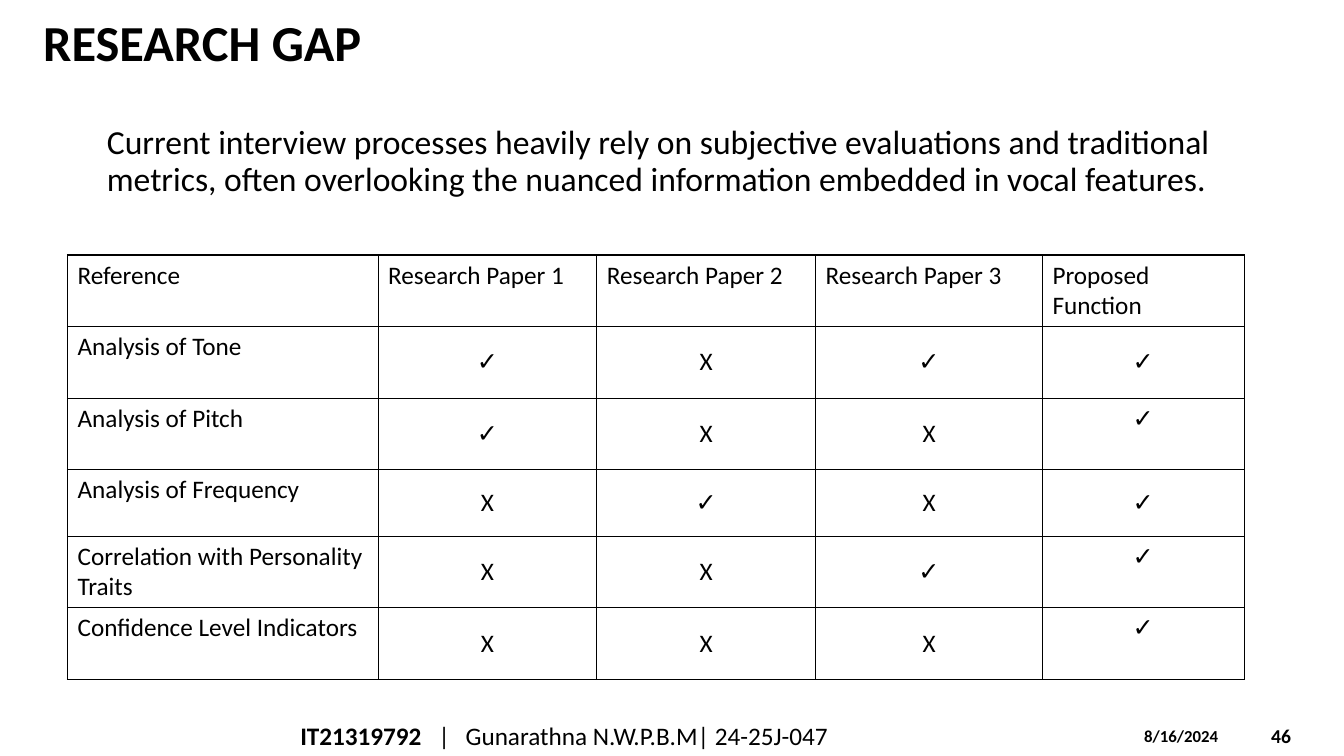
from dataclasses import dataclass

from lxml import etree
from pptx import Presentation
from pptx.dml.color import RGBColor
from pptx.enum.text import MSO_ANCHOR, PP_ALIGN
from pptx.oxml.ns import qn
from pptx.util import Inches, Pt

TOP, MIDDLE = MSO_ANCHOR.TOP, MSO_ANCHOR.MIDDLE
LEFT, CENTER = PP_ALIGN.LEFT, PP_ALIGN.CENTER
FONT, BLACK = "Calibri", "000000"


@dataclass
class Label:
    text: str
    left: float
    top: float
    width: float
    height: float
    size: float
    bold: bool = False
    anchor: MSO_ANCHOR = MIDDLE
    inset: float = 0.1
    spacing: float = 1.0
    tabs: tuple[float, ...] = ()


@dataclass
class Row:
    name: str
    marks: str
    height: float = 0.71
    last: MSO_ANCHOR = TOP


LABELS = [
    Label("46", 12.51, 7.1, 0.74, 0.4, 14, True),
    Label("8/16/2024", 11.25, 7.15, 1.17, 0.3, 12, True, TOP),
    Label("RESEARCH GAP", 0.33, 0.13, 12.78, 0.95, 36, True, TOP, spacing=0.9),
    Label("Current interview processes heavily rely on subjective evaluations "
          "and traditional metrics, often overlooking the nuanced information "
          "embedded in vocal features.",
          0.92, 1.2, 11.5, 1.17, 24, anchor=TOP, inset=0.14, spacing=0.9),
]
FOOTER = Label("IT21319792\t|\tGunarathna N.W.P.B.M| 24-25J-047",
               2.88, 7.1, 7.45, 0.4, 18, tabs=(1.37, 1.64))

HEADS = ["Reference", "Research Paper 1", "Research Paper 2",
         "Research Paper 3", "Proposed Function"]
WIDTHS = [3.08, 2.17, 2.17, 2.25, 2]
ROWS = [
    Row("Analysis of Tone", "✓X✓✓", last=MIDDLE),
    Row("Analysis of Pitch", "✓XX✓"),
    Row("Analysis of Frequency", "X✓X✓", 0.66, MIDDLE),
    Row("Correlation with Personality Traits", "XX✓✓"),
    Row("Confidence Level Indicators", "XXX✓"),
]


def color(code: str) -> RGBColor:
    return RGBColor.from_string(code)


def style(run, size: float, bold: bool = False) -> None:
    font = run.font
    font.name, font.size, font.bold = FONT, Pt(size), bold
    font.color.rgb = color(BLACK)


def add_tabs(para, stops: tuple[float, ...]) -> None:
    tabs = etree.SubElement(para._p.get_or_add_pPr(), qn("a:tabLst"))
    for stop in stops:
        etree.SubElement(tabs, qn("a:tab"), pos=str(Inches(stop)), algn="l")


def add_label(slide, label: Label):
    box = slide.shapes.add_textbox(Inches(label.left), Inches(label.top),
                                   Inches(label.width), Inches(label.height))
    frame = box.text_frame
    frame.word_wrap = True
    frame.vertical_anchor = label.anchor
    frame.margin_left = Inches(label.inset)
    frame.text = label.text
    para = frame.paragraphs[0]
    para.line_spacing = label.spacing
    if label.tabs:
        add_tabs(para, label.tabs)
    for run in para.runs:
        style(run, label.size, label.bold)
    return para


def add_footer(slide) -> None:
    para = add_label(slide, FOOTER)
    code, rest = FOOTER.text.split("\t", 1)
    run = para.runs[0]
    run.text = code
    style(run, FOOTER.size, True)
    tail = para.add_run()
    tail.text = "\t" + rest
    style(tail, FOOTER.size)


def add_border(cell) -> None:
    props = cell._tc.get_or_add_tcPr()
    for spot, side in enumerate(("lnL", "lnR", "lnT", "lnB")):
        line = etree.Element(qn("a:" + side), w=str(Pt(1)))
        fill = etree.SubElement(line, qn("a:solidFill"))
        etree.SubElement(fill, qn("a:srgbClr"), val=BLACK)
        props.insert(spot, line)


def fill_cell(cell, text: str, anchor: MSO_ANCHOR, align: PP_ALIGN) -> None:
    cell.text = text
    cell.vertical_anchor = anchor
    cell.fill.background()
    para = cell.text_frame.paragraphs[0]
    para.alignment = align
    style(para.runs[0], 18)
    add_border(cell)


def add_grid(slide) -> None:
    heights = [0.71] + [row.height for row in ROWS]
    grid = slide.shapes.add_table(
        len(heights), len(WIDTHS), Inches(0.67), Inches(2.53),
        Inches(sum(WIDTHS)), Inches(sum(heights))).table
    for col, width in zip(grid.columns, WIDTHS):
        col.width = Inches(width)
    for line, height in zip(grid.rows, heights):
        line.height = Inches(height)
    for c, head in enumerate(HEADS):
        fill_cell(grid.cell(0, c), head, TOP, LEFT)
    for r, row in enumerate(ROWS, 1):
        fill_cell(grid.cell(r, 0), row.name, TOP, LEFT)
        for c, mark in enumerate(row.marks, 1):
            anchor = row.last if c == len(row.marks) else MIDDLE
            fill_cell(grid.cell(r, c), mark, anchor, CENTER)


def main() -> None:
    deck = Presentation()
    deck.slide_width, deck.slide_height = Inches(13.33), Inches(7.5)
    slide = deck.slides.add_slide(deck.slide_layouts[6])

    # Page number, date, title and summary
    for label in LABELS:
        add_label(slide, label)

    # Comparison of papers
    add_grid(slide)

    # Author line
    add_footer(slide)

    deck.save("out.pptx")


if __name__ == "__main__":
    main()
